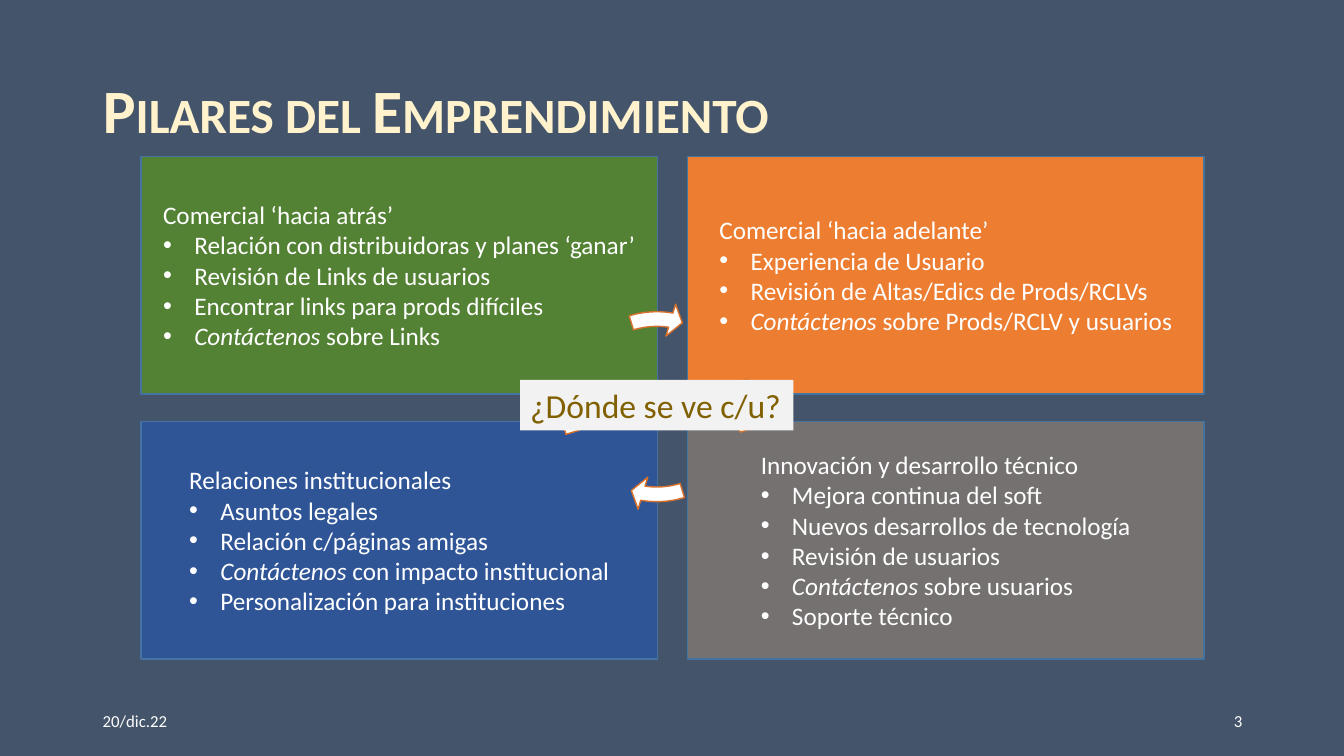
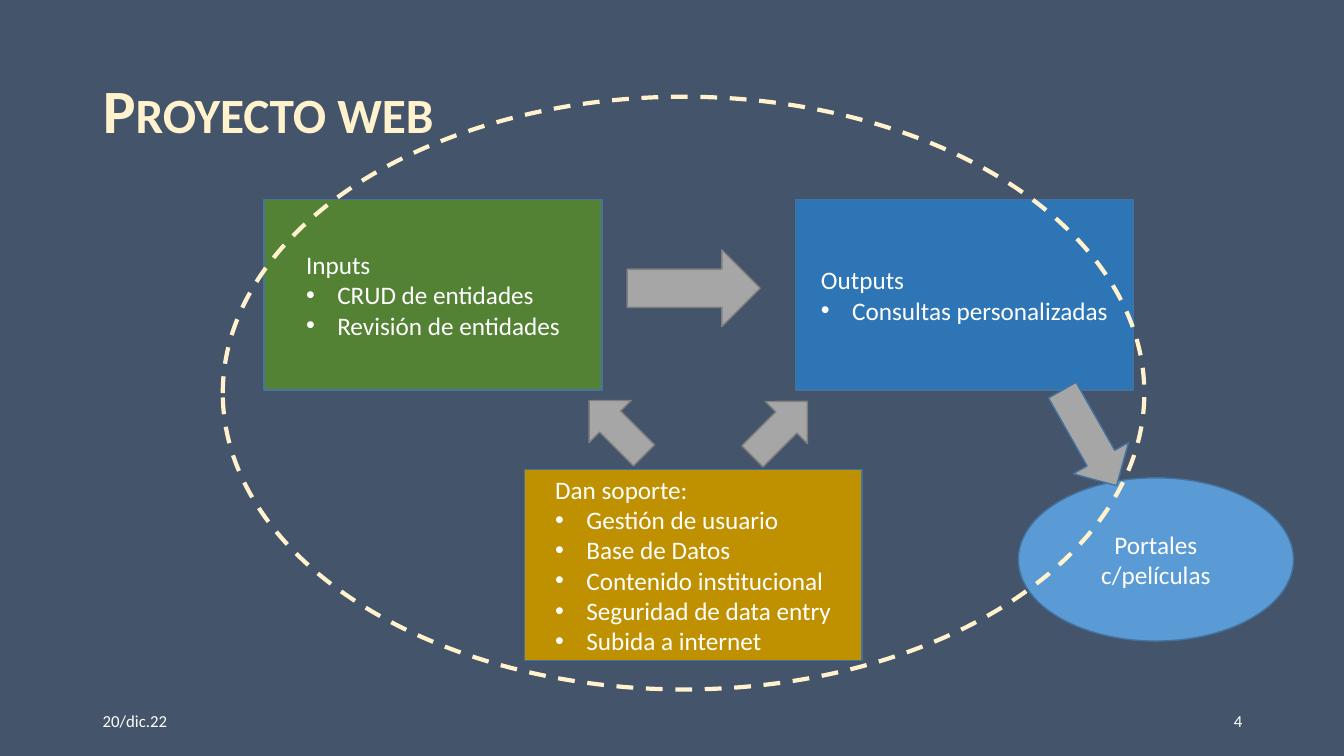
from lxml import etree
from pptx import Presentation
from pptx.dml.color import RGBColor
from pptx.enum.dml import MSO_LINE
from pptx.enum.shapes import MSO_SHAPE
from pptx.enum.text import MSO_ANCHOR, MSO_AUTO_SIZE, PP_ALIGN
from pptx.oxml.ns import qn
from pptx.util import Inches, Pt

RECT, ELLIPSE = MSO_SHAPE.RECTANGLE, MSO_SHAPE.OVAL
ARROW, CYCLE_ARROW = MSO_SHAPE.RIGHT_ARROW, MSO_SHAPE.CIRCULAR_ARROW
LEFT, CENTER, RIGHT = PP_ALIGN.LEFT, PP_ALIGN.CENTER, PP_ALIGN.RIGHT
TOP, MIDDLE = MSO_ANCHOR.TOP, MSO_ANCHOR.MIDDLE

FONT = "Calibri"
SLATE, CREAM, WHITE = "44546A", "FFF2CC", "FFFFFF"
GREEN, ORANGE, NAVY, TAUPE = "548235", "ED7D31", "2F5597", "767171"
BLUE, GOLD, SKY, GRAY = "2E75B6", "BF9000", "5B9BD5", "A6A6A6"
BLUE_EDGE, ORANGE_EDGE, GRAY_EDGE = "43739E", "D7712C", "808080"
DATE = "20/dic.22"
TITLES = {3: "Pilares del Emprendimiento", 4: "Proyecto web"}


def draw(slide, kind, box, fill=None, edge=BLUE_EDGE, weight=1, rotation=0):
    """Add a preset shape; without a fill only its outline shows."""
    shape = slide.shapes.add_shape(kind, *map(Inches, box))
    shape.shadow.inherit = False
    shape.rotation = rotation
    if fill:
        shape.fill.solid()
        shape.fill.fore_color.rgb = RGBColor.from_string(fill)
    else:
        shape.fill.background()
    shape.line.color.rgb = RGBColor.from_string(edge)
    shape.line.width = Pt(weight)
    return shape


def write(shape, *lines, size=18, color=WHITE, align=LEFT, anchor=MIDDLE, wrap=True,
          bold=False, small_caps=False, spacing=None, bulleted=False):
    """Fill a shape with paragraphs; *starred* words are italic.

    A bulleted text has a plain first line, a list below it, and is centred as a block.
    """
    frame = shape.text_frame
    frame.auto_size = MSO_AUTO_SIZE.NONE
    frame.word_wrap = wrap
    frame.vertical_anchor = anchor
    if bulleted:
        frame.margin_left = frame.margin_right = Inches(0.2)
        frame._txBody.find(qn("a:bodyPr")).set("anchorCtr", "1")
    for number, line in enumerate(lines):
        paragraph = frame.add_paragraph() if number else frame.paragraphs[0]
        paragraph.alignment = align
        if spacing:
            paragraph.line_spacing = spacing
        if bulleted and number:
            properties = paragraph._p.get_or_add_pPr()
            properties.set("marL", str(Inches(0.31)))
            properties.set("indent", str(-Inches(0.31)))
            etree.SubElement(properties, qn("a:buFont")).set("typeface", "Arial")
            etree.SubElement(properties, qn("a:buChar")).set("char", "•")
        for part, words in enumerate(line.split("*")):
            if not words:
                continue
            run = paragraph.add_run()
            run.text = words
            run.font.name, run.font.size = FONT, Pt(size)
            run.font.bold, run.font.italic = bold, part % 2 == 1
            run.font.color.rgb = RGBColor.from_string(color)
            if small_caps:
                run._r.get_or_add_rPr().set("cap", "small")


prs = Presentation()
prs.slide_width, prs.slide_height = Inches(13.33), Inches(7.5)
background = prs.slide_master.background.fill
background.solid()
background.fore_color.rgb = RGBColor.from_string(SLATE)

# Title, date and number of every slide
slides = []
for number, heading in TITLES.items():
    slide = prs.slides.add_slide(prs.slide_layouts[5])
    title = slide.shapes.title
    title.left, title.top = Inches(0.92), Inches(0.74)
    title.width, title.height = Inches(11.5), Inches(0.77)
    write(title, heading, size=44, color=CREAM, bold=True, small_caps=True, spacing=0.9)
    for left, footer, align in ((0.92, DATE, LEFT), (9.42, str(number), RIGHT)):
        footer_box = slide.shapes.add_textbox(*map(Inches, (left, 6.95, 3, 0.4)))
        write(footer_box, footer, size=12, align=align)
    slides.append(slide)
pillars_slide, project_slide = slides

# Pillars: two by two, with a cycle of arrows in the middle
PILLARS = [
    (GREEN, "Comercial ‘hacia atrás’", "Relación con distribuidoras y planes ‘ganar’",
     "Revisión de Links de usuarios", "Encontrar links para prods difíciles",
     "*Contáctenos* sobre Links"),
    (ORANGE, "Comercial ‘hacia adelante’", "Experiencia de Usuario",
     "Revisión de Altas/Edics de Prods/RCLVs",
     "*Contáctenos* sobre Prods/RCLV y usuarios"),
    (NAVY, "Relaciones institucionales", "Asuntos legales", "Relación c/páginas amigas",
     "*Contáctenos* con impacto institucional", "Personalización para instituciones"),
    (TAUPE, "Innovación y desarrollo técnico", "Mejora continua del soft",
     "Nuevos desarrollos de tecnología", "Revisión de usuarios",
     "*Contáctenos* sobre usuarios", "Soporte técnico"),
]
for index, (fill, *lines) in enumerate(PILLARS):
    row, column = divmod(index, 2)
    pillar = draw(pillars_slide, RECT, (1.4 + 5.42 * column, 1.55 + 2.63 * row, 5.12, 2.36), fill)
    write(pillar, *lines, bulleted=True)

FULL_TURN = 216  # 360 degrees in the units of the arrow's adjustments
for quarter in range(4):
    cycle_arrow = draw(pillars_slide, CYCLE_ARROW, (5.48, 3, 2.07, 2.07), WHITE, ORANGE_EDGE)
    head = 5.48 + quarter * FULL_TURN / 4
    tail = (head - 15.62) % FULL_TURN
    for position, value in enumerate((0.07, 4.66, head, tail, 0.08)):
        cycle_arrow.adjustments[position] = value

question = pillars_slide.shapes.add_textbox(*map(Inches, (5.16, 3.77, 2.71, 0.5)))
question.fill.solid()
question.fill.fore_color.rgb = RGBColor.from_string("F2F2F2")
write(question, "¿Dónde se ve c/u?", size=24, color="806000", anchor=TOP, wrap=False)

# Project: three parts, the arrows between them and the portals outside
PARTS = [
    (2.62, 1.98, GREEN, "Inputs", "CRUD de entidades", "Revisión de entidades"),
    (7.89, 1.98, BLUE, "Outputs", "Consultas personalizadas"),
    (5.2, 4.66, GOLD, "Dan soporte:", "Gestión de usuario", "Base de Datos",
     "Contenido institucional", "Seguridad de data entry", "Subida a internet"),
]
for left, top, fill, *lines in PARTS:
    part_box = draw(project_slide, RECT, (left, top, 3.35, 1.89), fill)
    write(part_box, *lines, bulleted=True)

portals = draw(project_slide, ELLIPSE, (10.1, 4.74, 2.73, 1.62), SKY)
write(portals, "Portales", "c/películas", align=CENTER)

FLOWS = [
    ((6.22, 2.48, 1.32, 0.76), 0, GRAY_EDGE),
    ((7.35, 3.96, 0.77, 0.59), 315, GRAY_EDGE),
    ((5.73, 3.95, 0.77, 0.59), 225, GRAY_EDGE),
    ((10.26, 4.03, 1.09, 0.63), 60.4, BLUE_EDGE),
]
for box, rotation, edge in FLOWS:
    draw(project_slide, ARROW, box, GRAY, edge, rotation=rotation)

boundary = draw(project_slide, ELLIPSE, (2.21, 0.96, 9.14, 5.88), edge=CREAM, weight=3)
boundary.line.dash_style = MSO_LINE.DASH

prs.save("out.pptx")
